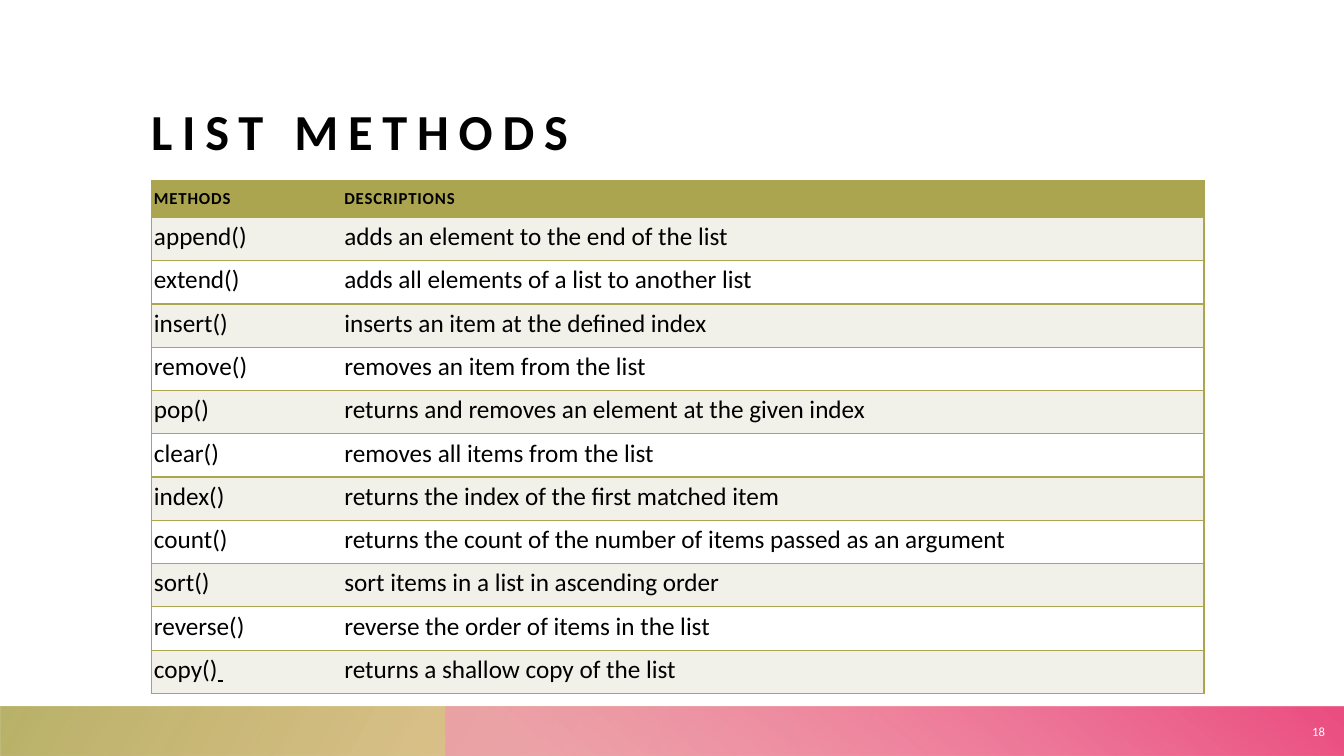
from lxml import etree
from pptx import Presentation
from pptx.dml.color import RGBColor
from pptx.enum.shapes import MSO_SHAPE
from pptx.enum.text import MSO_ANCHOR, PP_ALIGN
from pptx.oxml import parse_xml
from pptx.oxml.ns import nsdecls, qn
from pptx.util import Pt

RECT = MSO_SHAPE.RECTANGLE
LOW, MID = MSO_ANCHOR.BOTTOM, MSO_ANCHOR.MIDDLE
LEFT, RIGHT = PP_ALIGN.LEFT, PP_ALIGN.RIGHT

WIDE, HIGH = 960, 540
OLIVE, PALE, WHITE, BLACK = "ACA54F", "F1F0E9", "FFFFFF", "000000"
HEAD = {"size": Pt(12), "bold": True}
BODY = {"size": Pt(18), "bold": False}

ROWS = [
    ("METHODS", "DESCRIPTIONS"),
    ("append()", "adds an element to the end of the list"),
    ("extend()", "adds all elements of a list to another list"),
    ("insert()", "inserts an item at the defined index"),
    ("remove()", "removes an item from the list"),
    ("pop()", "returns and removes an element at the given index"),
    ("clear()", "removes all items from the list"),
    ("index()", "returns the index of the first matched item"),
    ("count()", "returns the count of the number of items passed as an argument"),
    ("sort()", "sort items in a list in ascending order"),
    ("reverse()", "reverse the order of items in the list"),
    ("copy()", "returns a shallow copy of the list"),
]


def color(code):
    return RGBColor.from_string(code)


def write(para, text, look, tint=BLACK, space=0):
    run = para.add_run()
    run.text = text
    for name, value in {"name": "Calibri", **look}.items():
        setattr(run.font, name, value)
    run.font.color.rgb = color(tint)
    if space:
        run.font._element.set("spc", str(round(space * 100)))


def inset(item, left, top, right, low):
    sides = {"left": left, "top": top, "right": right, "bottom": low}
    for side, value in sides.items():
        setattr(item, f"margin_{side}", Pt(value))


def label(slide, box, text, look, tint, space, anchor, align, pad):
    frame = slide.shapes.add_textbox(*map(Pt, box)).text_frame
    frame.word_wrap = True
    frame.vertical_anchor = anchor
    inset(frame, pad, 0, pad, 0)
    para = frame.paragraphs[0]
    para.alignment = align
    write(para, text, look, tint, space)


def band(slide, left, turn, stops, angle):
    top = 505
    shape = slide.shapes.add_shape(
        RECT, Pt(left), Pt(top), Pt(WIDE - left), Pt(HIGH - top))
    shape.shadow.inherit = False
    shape.line.fill.background()
    shape.rotation = turn
    props = shape._element.spPr
    props.find(qn("a:xfrm")).set("flipH", "1")
    marks = "".join(
        f'<a:gs pos="{pos * 1000}"><a:srgbClr val="{code}">'
        f'<a:alpha val="{alpha * 1000}"/></a:srgbClr></a:gs>'
        for pos, code, alpha in stops)
    props.find(qn("a:prstGeom")).addnext(parse_xml(
        f'<a:gradFill {nsdecls("a")} rotWithShape="1"><a:gsLst>{marks}</a:gsLst>'
        f'<a:lin ang="{angle * 60000}" scaled="0"/></a:gradFill>'))


def border(cell, shown):
    props = cell._tc.get_or_add_tcPr()
    for spot, side in enumerate("LRTB"):
        line = etree.Element(qn(f"a:ln{side}"), w=str(Pt(1)))
        if side in shown:
            fill = etree.SubElement(line, qn("a:solidFill"))
            etree.SubElement(fill, qn("a:srgbClr"), val=OLIVE)
        else:
            etree.SubElement(line, qn("a:noFill"))
        props.insert(spot, line)


def grid(slide):
    first, rest = 26.2, 30.9
    widths = (136, 616)
    high = first + rest * (len(ROWS) - 1)
    table = slide.shapes.add_table(
        len(ROWS), 2, Pt(108), Pt(129), Pt(sum(widths)), Pt(high)).table
    table.first_row = table.horz_banding = False
    for col, width in zip(table.columns, widths):
        col.width = Pt(width)
    for i, texts in enumerate(ROWS):
        top = i == 0
        table.rows[i].height = Pt(first if top else rest)
        for j, text in enumerate(texts):
            cell = table.cell(i, j)
            cell.vertical_anchor = LOW if top else MID
            inset(cell, 2, 6 if top else 3, 2, 6)
            cell.fill.solid()
            shade = OLIVE if top else PALE if i % 2 else WHITE
            cell.fill.fore_color.rgb = color(shade)
            border(cell, "RTB" if j else "LTB")
            write(cell.text_frame.paragraphs[0], text,
                  HEAD if top else BODY, space=0.6 if top else 0)
    # Underlined space after the last method
    last = table.cell(len(ROWS) - 1, 0).text_frame.paragraphs[0]
    write(last, " ", {**BODY, "underline": True})


def main():
    deck = Presentation()
    deck.slide_width, deck.slide_height = Pt(WIDE), Pt(HIGH)
    slide = deck.slides.add_slide(deck.slide_layouts[6])

    # Title
    label(slide, (108, 36, 752, 79), "LIST METHODS",
          {"size": Pt(36), "bold": True}, BLACK, 7, LOW, LEFT, 0)

    # Footer bands
    band(slide, 0, 180, [(14, "E88F33", 28), (100, OLIVE, 85)], 150)
    band(slide, 318, 0, [(9, "F395B3", 68), (99, "EB4E81", 100)], 230)

    # Method table
    grid(slide)

    # Slide number
    label(slide, (919, 505, 34.5, 35), "18",
          {"size": Pt(9)}, WHITE, 0, MID, RIGHT, 7.2)

    deck.save("out.pptx")


if __name__ == "__main__":
    main()
